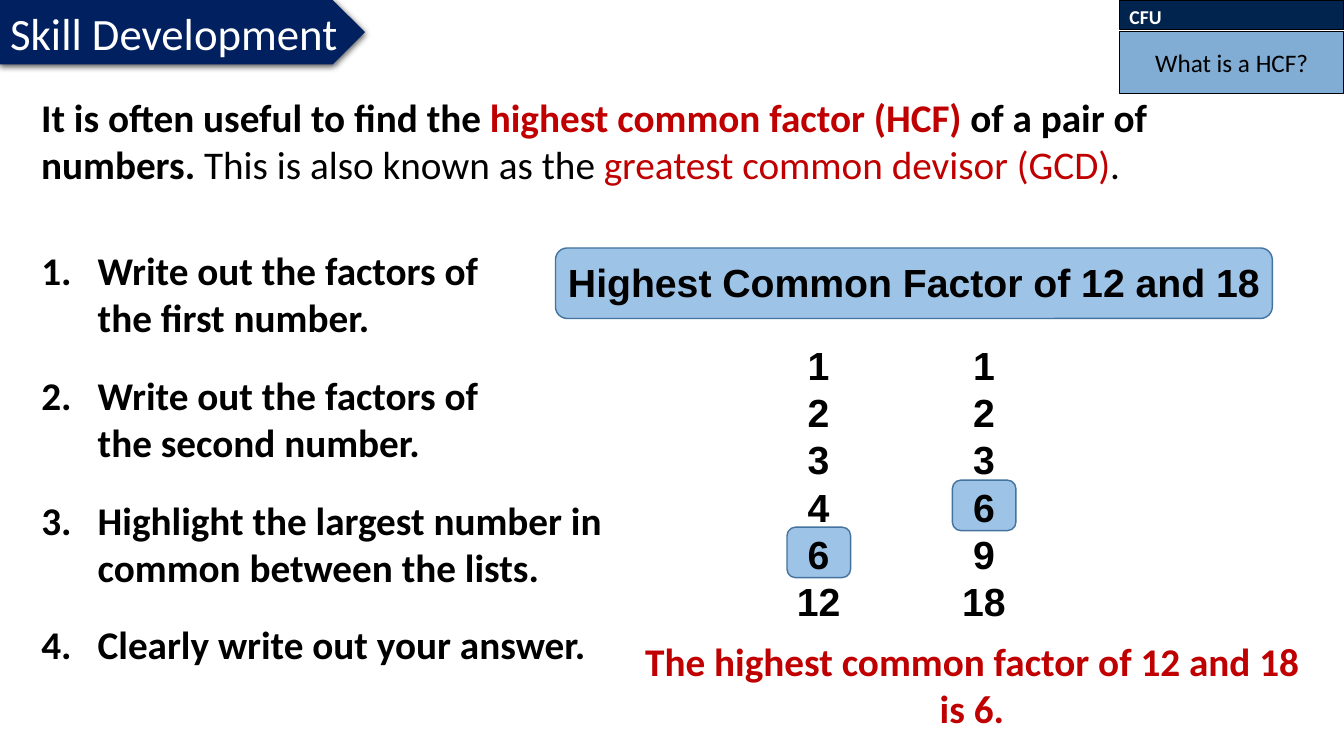
import pptx
import pptx.util
import pptx.dml.color
import pptx.enum.shapes
import pptx.enum.text
import pptx.oxml
import pptx.oxml.ns

COLORS = {
    "black": "000000", "white": "FFFFFF", "red": "C00000",
    "navy": "002060", "midnight": "01244E", "question": "2E75B6",
    "highlight": "9DC3E6", "outline": "43739E",
}
ALIGN = pptx.enum.text.PP_ALIGN
ANCHOR = pptx.enum.text.MSO_ANCHOR
SHAPE = pptx.enum.shapes.MSO_SHAPE
NAMESPACE = pptx.oxml.ns.nsdecls("a")

deck = pptx.Presentation()
deck.slide_width = pptx.util.Inches(13.33)
deck.slide_height = pptx.util.Inches(7.5)
slide = deck.slides.add_slide(deck.slide_layouts[1])
shapes = slide.shapes


def area(left, top, width, height):
    column, row = deck.slide_width / 100, deck.slide_height / 100
    return [int(left * column), int(top * row), int(width * column), int(height * row)]


def write(text, box=None, target=None, fill=None, line=None, line_width=1, kind=None,
          size=28, font="Calibri", color="black", bold=True, align=ALIGN.LEFT,
          anchor=ANCHOR.TOP, numbered=False, gap=0, wrap=True):
    if target is None:
        target = shapes.add_shape(kind, *area(*box)) if kind else shapes.add_textbox(*area(*box))
    elif box:
        target.left, target.top, target.width, target.height = area(*box)
    if fill:
        target.shadow.inherit = False
        target.fill.solid()
        target.fill.fore_color.rgb = pptx.dml.color.RGBColor.from_string(COLORS[fill])
        if line:
            target.line.color.rgb = pptx.dml.color.RGBColor.from_string(COLORS[line])
            target.line.width = pptx.util.Pt(line_width)
        else:
            target.line.fill.background()
    frame = target.text_frame
    frame.auto_size = pptx.enum.text.MSO_AUTO_SIZE.NONE
    frame.word_wrap = wrap
    frame.vertical_anchor = anchor
    for index, content in enumerate(text if isinstance(text, list) else [text]):
        paragraph = frame.add_paragraph() if index else frame.paragraphs[0]
        paragraph.alignment = align
        paragraph.space_before = pptx.util.Pt(gap if index else 0)
        if numbered:
            properties = paragraph._p.get_or_add_pPr()
            properties.set("marL", str(pptx.util.Inches(0.56)))
            properties.set("indent", str(-pptx.util.Inches(0.56)))
            properties.append(pptx.oxml.parse_xml(
                f'<a:buAutoNum {NAMESPACE} type="arabicPeriod"/>'))
        runs = content if isinstance(content, tuple) else ((content, color, bold),)
        for words, run_color, run_bold in runs:
            for part, piece in enumerate(words.split("\v")):
                if part:
                    paragraph.add_line_break()
                run = paragraph.add_run()
                run.text = piece
                run.font.name = font
                run.font.size = pptx.util.Pt(size)
                run.font.bold = run_bold
                run.font.color.rgb = pptx.dml.color.RGBColor.from_string(COLORS[run_color])
    return target


write([(
    ("It is often useful to find the ", "black", True),
    ("highest common factor (HCF) ", "red", True),
    ("of a pair of numbers.", "black", True),
    (" This is also known as the ", "black", False),
    ("greatest common devisor (GCD)", "red", False),
    (".", "black", False),
)], box=(2.32, 11.73, 89.05, 20.13))

write("", box=(41.33, 32.8, 53.34, 9.33), kind=SHAPE.ROUNDED_RECTANGLE,
      fill="highlight", line="outline")
write("Highest Common Factor of 12 and 18", box=(41.33, 33.47, 53.34, 7.6),
      font="Arial", align=ALIGN.CENTER)

write([
    "Write out the factors of \vthe first number.",
    "Write out the factors of \vthe second number.",
    "Highlight the largest number in common between the lists.",
    "Clearly write out your answer.",
], target=slide.placeholders[1], box=(2.32, 31.87, 46.21, 57.46), numbered=True, gap=22)

factor_lists = [["1", "2", "3", "4", "6", "12"], ["1", "2", "3", "6", "9", "18"]]
for position, factors in enumerate(factor_lists):
    list_left = 53.26 + 12.3 * position
    write("", box=(list_left + 5.3, 44.85 + 6.22 * factors.index("6"), 4.73, 6.67),
          kind=SHAPE.ROUNDED_RECTANGLE, fill="highlight", line="outline")
    write(factors, box=(list_left, 44.53, 15.3, 39.07), font="Arial", align=ALIGN.CENTER)

write("The highest common factor of 12 and 18 is 6.", box=(46.89, 83.6, 50.86, 13.87),
      color="red", align=ALIGN.CENTER)

banner = write("", box=(0, 0, 27.16, 8.53), kind=SHAPE.PENTAGON, fill="navy")
effects = banner._element.spPr.find(pptx.oxml.ns.qn("a:effectLst"))
effects.append(pptx.oxml.parse_xml(
    f'<a:outerShdw {NAMESPACE} blurRad="57150" dist="19050" dir="5400000" rotWithShape="0">'
    f'<a:srgbClr val="{COLORS["black"]}"><a:alpha val="63000"/></a:srgbClr></a:outerShdw>'))
heading = write("Skill Development", target=shapes.title, box=(0, 0, 27.16, 8.53),
                size=32, color="white", bold=False, anchor=ANCHOR.MIDDLE, wrap=False)
shapes._spTree.append(heading._element)

write("CFU", box=(83.3, 0, 16.7, 3.87), kind=SHAPE.RECTANGLE, fill="midnight",
      line="black", line_width=0.75, size=14, color="white")
question = write("What is a HCF?", box=(83.3, 4.13, 16.7, 8.27), kind=SHAPE.RECTANGLE,
                 fill="question", line="black", line_width=0.75, size=18, bold=False,
                 align=ALIGN.CENTER, anchor=ANCHOR.MIDDLE)
tint = question._element.spPr.find(pptx.oxml.ns.qn("a:solidFill"))[0]
tint.append(pptx.oxml.parse_xml(f'<a:alpha {NAMESPACE} val="60000"/>'))

deck.save("out.pptx")
